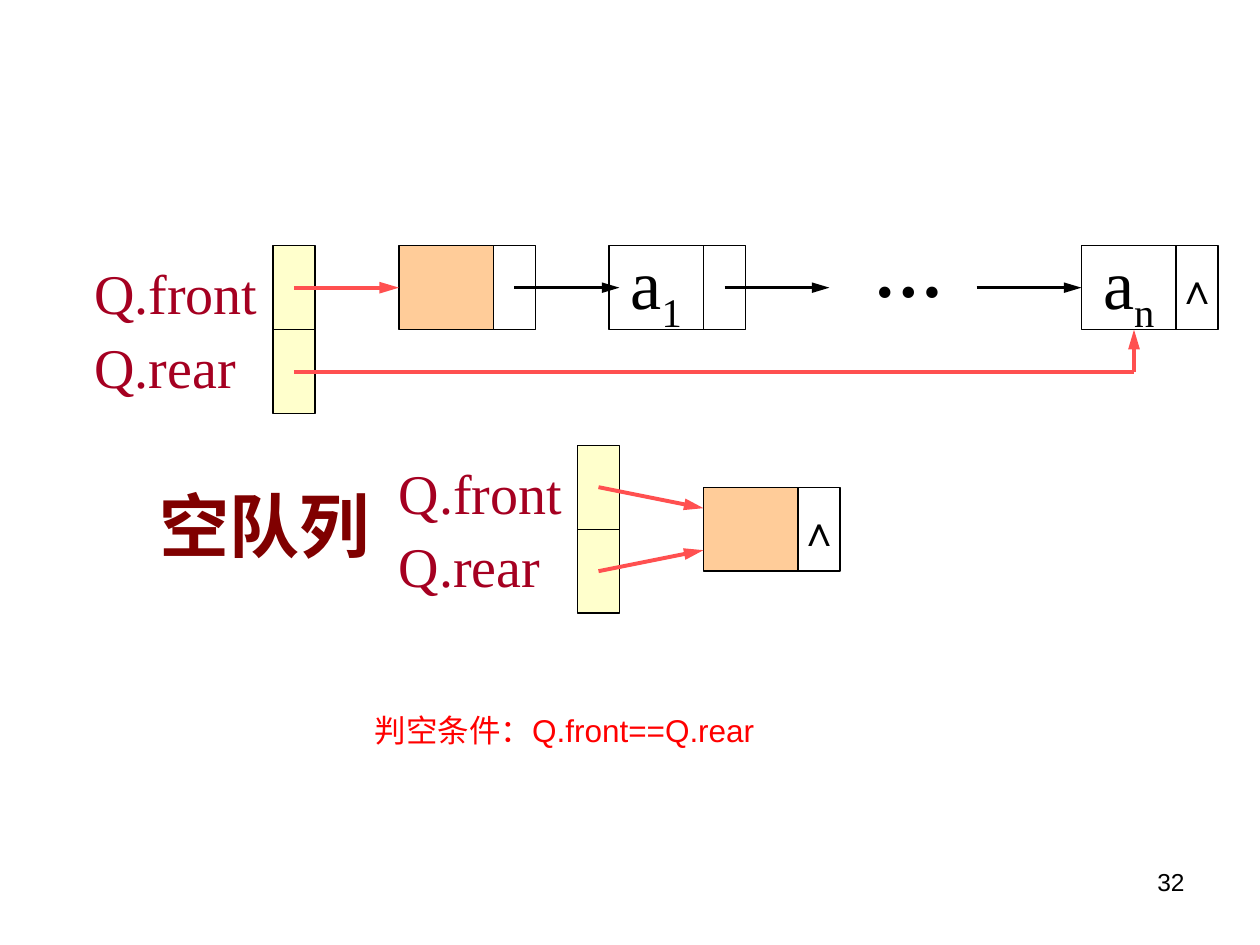
from dataclasses import dataclass

from lxml.etree import SubElement
from pptx import Presentation
from pptx.dml.color import RGBColor as RGB
from pptx.enum.shapes import MSO_CONNECTOR as Link, MSO_SHAPE as Preset
from pptx.enum.text import MSO_ANCHOR as Anchor, MSO_AUTO_SIZE as AutoSize, PP_ALIGN as Align
from pptx.oxml.ns import qn
from pptx.util import Inches, Pt


@dataclass(frozen=True)
class Theme:
    """Colours, fonts and sizes of the queue diagram."""
    ink: str = "000000"
    pointer: str = "FF5050"
    label: str = "A50021"
    heading: str = "800000"
    condition: str = "FF0000"
    handle_fill: str = "FFFFCC"
    head_fill: str = "FFCC99"
    serif: str = "Times New Roman"
    sans: str = "Arial"
    big: int = 40
    medium: int = 32
    mark: int = 24
    body: int = 18
    small: int = 14
    border: float = 0.75
    link: float = 2
    pointer_width: float = 2.25


THEME = Theme()
UNIT = 1 / 12
TOP = 1.95
DATA, NEXT, TALL = 9, 4, 8


def x(col):
    """Return the horizontal position of a grid column."""
    return Inches(col * UNIT)


def y(row):
    """Return the vertical position of a grid row, counted from the list's top."""
    return Inches(TOP + row * UNIT)


def style(paragraph, size, color, face=THEME.serif, bold=False, align=None):
    """Set the font and alignment of a whole paragraph."""
    font = paragraph.font
    font.size, font.name, font.bold = Pt(size), face, bold
    font.color.rgb = RGB.from_string(color)
    paragraph.alignment = align


def add_cell(slide, col, row, cols, fill=None, text="", subscript="", size=THEME.big):
    """Draw one bordered cell of a node, with an optional subscripted symbol."""
    cell = slide.shapes.add_shape(Preset.RECTANGLE, x(col), y(row), x(cols), x(TALL))
    cell.shadow.inherit = False
    if fill:
        cell.fill.solid()
        cell.fill.fore_color.rgb = RGB.from_string(fill)
    else:
        cell.fill.background()
    cell.line.color.rgb = RGB.from_string(THEME.ink)
    cell.line.width = Pt(THEME.border)
    if text:
        frame = cell.text_frame
        frame.word_wrap = False
        frame.vertical_anchor = Anchor.MIDDLE
        symbol = frame.paragraphs[0]
        symbol.add_run().text = text
        if subscript:
            index = symbol.add_run()
            index.text = subscript
            index.font._element.set("baseline", "-25000")
        style(symbol, size, THEME.ink, align=Align.CENTER)
    return cell


def add_node(slide, col, row, fill=None, text="", subscript="", last=False):
    """Draw a data cell and its next cell; return the data cell."""
    add_cell(slide, col + DATA, row, NEXT, text="∧" if last else "", size=THEME.mark)
    return add_cell(slide, col, row, DATA, fill, text, subscript)


def add_text(slide, col, row, cols, rows, lines, size, color,
             wrap=True, grow=True, spacing=None, **look):
    """Place a text box with one paragraph for each line."""
    frame = slide.shapes.add_textbox(x(col), y(row), x(cols), x(rows)).text_frame
    frame.word_wrap = wrap
    frame.auto_size = AutoSize.SHAPE_TO_FIT_TEXT if grow else AutoSize.NONE
    for number, line in enumerate(lines):
        paragraph = frame.add_paragraph() if number else frame.paragraphs[0]
        paragraph.text = line
        paragraph.line_spacing = spacing
        style(paragraph, size, color, **look)


def add_link(slide, start, end, color=THEME.pointer, width=THEME.pointer_width,
             target=None, arrow=True):
    """Draw a straight link between grid points, joined to the target's left side."""
    link = slide.shapes.add_connector(
        Link.STRAIGHT, x(start[0]), y(start[1]), x(end[0]), y(end[1]))
    link.line.color.rgb = RGB.from_string(color)
    link.line.width = Pt(width)
    if arrow:
        SubElement(link.line._get_or_add_ln(), qn("a:tailEnd"),
                   type="triangle", w="med", len="lg")
    SubElement(link._element.spPr, qn("a:effectLst"))
    if target is not None:
        link.end_connect(target, 1)


def add_handle(slide, col, row, label_col):
    """Draw the front and rear cells of a queue with their labels."""
    for step in range(2):
        add_cell(slide, col, row + step * TALL, NEXT, THEME.handle_fill)
    add_text(slide, label_col, row, 18, 15.4, ["Q.front", "Q.rear"],
             THEME.medium, THEME.label, wrap=False, spacing=1.1)


def add_filled_queue(slide):
    """Draw the queue that holds the elements a1 to an."""
    add_handle(slide, 26, 0, 7.8)
    head = add_node(slide, 38, 0, THEME.head_fill)
    add_node(slide, 58, 0, text="a", subscript="1")
    final = add_node(slide, 103, 0, text="a", subscript="n", last=True)
    add_text(slide, 82, -2.3, 11, 9.2, ["…"], THEME.big, THEME.ink, bold=True)
    add_link(slide, (28, 4), (38, 4), target=head)
    for col, target in ((49, None), (69, None), (93, final)):
        add_link(slide, (col, 4), (col + 10, 4), THEME.ink, THEME.link, target)
    add_link(slide, (28, 12), (108, 12), arrow=False)
    add_link(slide, (108, 12), (108, 8))


def add_empty_queue(slide):
    """Draw the queue whose two pointers both reach the head node."""
    add_handle(slide, 55, 19, 36.8)
    add_node(slide, 67, 23, THEME.head_fill, last=True)
    add_link(slide, (57, 23), (67, 25))
    add_link(slide, (57, 31), (67, 29))
    add_text(slide, 14, 22, 23.8, 9.2, ["空队列"], THEME.big, THEME.heading, bold=True)


def main():
    """Build the linked queue slide and save it."""
    deck = Presentation()
    deck.slide_width, deck.slide_height = Inches(10), Inches(7.5)
    slide = deck.slides.add_slide(deck.slide_layouts[6])
    add_filled_queue(slide)
    add_empty_queue(slide)
    add_text(slide, 34.5, 43.7, 42.5, 4.8, ["判空条件：Q.front==Q.rear"],
             THEME.body, THEME.condition, face=THEME.sans)
    add_text(slide, 86, 58.6, 28, 6.2, ["32"], THEME.small, THEME.ink,
             grow=False, face=THEME.sans, align=Align.RIGHT)
    deck.save("out.pptx")


if __name__ == "__main__":
    main()
